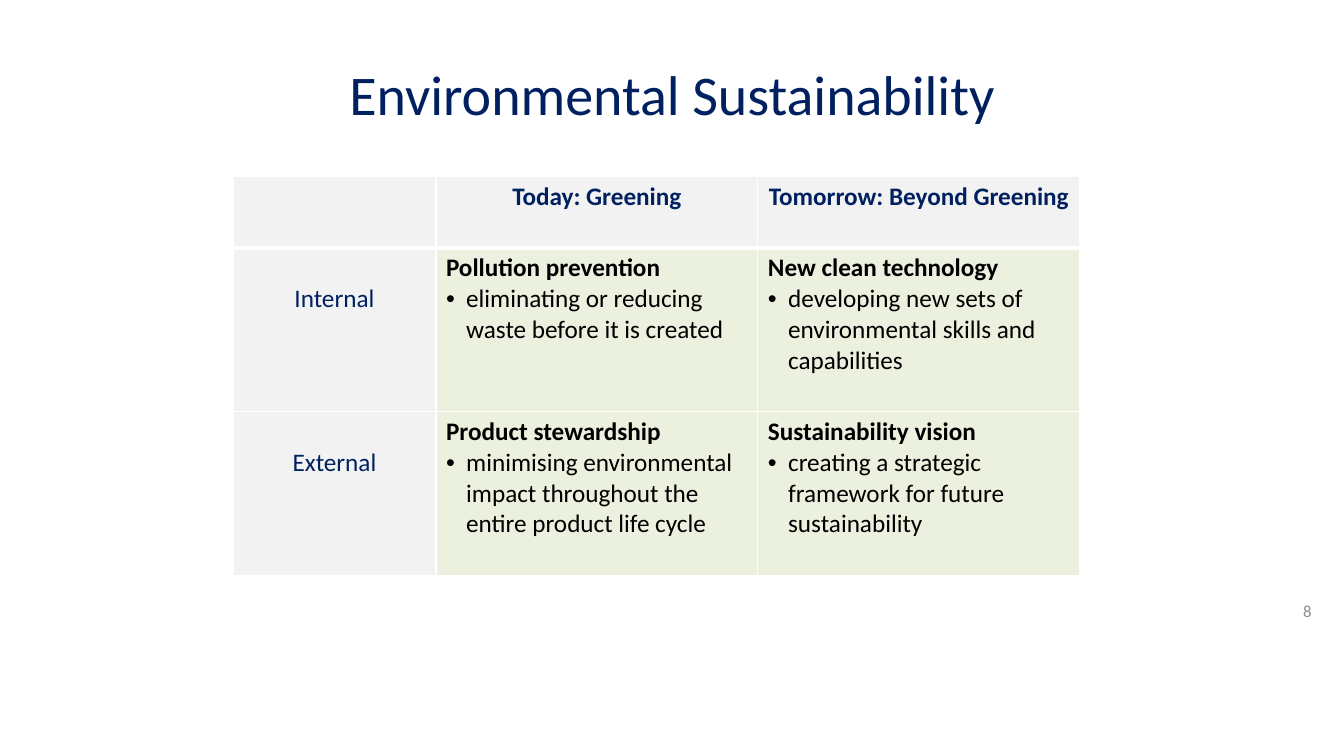
"""Build the Environmental Sustainability slide with its two-by-two strategy table."""
from dataclasses import dataclass

import pptx
import pptx.dml.color
import pptx.enum.text
import pptx.oxml
import pptx.oxml.ns
import pptx.slide
import pptx.table
import pptx.text.text
import pptx.util

Pt = pptx.util.Pt
RGBColor = pptx.dml.color.RGBColor
Align = pptx.enum.text.PP_ALIGN
Anchor = pptx.enum.text.MSO_ANCHOR

NAVY = RGBColor(0x00, 0x20, 0x60)
BLACK = RGBColor(0x00, 0x00, 0x00)
GRAY = RGBColor(0x8C, 0x8C, 0x8C)
WHITE = RGBColor(0xFF, 0xFF, 0xFF)
HEADING_FILL = RGBColor(0xF2, 0xF2, 0xF2)
STRATEGY_FILL = RGBColor(0xEB, 0xF1, 0xDE)

FONT = "Calibri"
BODY_SIZE = 18
BULLET_INDENT = Pt(14.4)
LABEL_TOP_MARGIN = Pt(25.6)
COLUMN_WIDTHS = (145, 230, 230)
ROW_HEIGHTS = (51, 117, 117)


@dataclass(frozen=True)
class Strategy:
    name: str
    description: str


@dataclass(frozen=True)
class Focus:
    label: str
    strategies: tuple[Strategy, ...]


HEADINGS = ("Today: Greening", "Tomorrow: Beyond Greening")
FOCUSES = (
    Focus("Internal", (
        Strategy("Pollution prevention", "eliminating or reducing waste before it is created"),
        Strategy("New clean technology",
                 "developing new sets of environmental skills and capabilities"),
    )),
    Focus("External", (
        Strategy("Product stewardship",
                 "minimising environmental impact throughout the entire product life cycle"),
        Strategy("Sustainability vision",
                 "creating a strategic framework for future sustainability"),
    )),
)


def write(paragraph: pptx.text.text._Paragraph, text: str, size: float, color: RGBColor,
          alignment: Align, bold: bool = False) -> None:
    paragraph.alignment = alignment
    run = paragraph.add_run()
    run.text = text
    run.font.name = FONT
    run.font.size = Pt(size)
    run.font.bold = bold
    run.font.color.rgb = color


def add_bullet(paragraph: pptx.text.text._Paragraph) -> None:
    properties = paragraph._p.get_or_add_pPr()
    properties.set("marL", str(BULLET_INDENT))
    properties.set("indent", str(-BULLET_INDENT))
    namespace = pptx.oxml.ns.nsdecls("a")
    properties.append(pptx.oxml.parse_xml(f'<a:buFont {namespace} typeface="Arial"/>'))
    properties.append(pptx.oxml.parse_xml(f'<a:buChar {namespace} char="•"/>'))


def format_cell(cell: pptx.table._Cell, row: int, column: int) -> None:
    properties = cell._tc.get_or_add_tcPr()
    widths = {"lnL": 1, "lnR": 1, "lnT": 3 if row == 1 else 1, "lnB": 3 if row == 0 else 1}
    for side, width in widths.items():
        properties.append(pptx.oxml.parse_xml(
            f'<a:{side} {pptx.oxml.ns.nsdecls("a")} w="{Pt(width)}">'
            f'<a:solidFill><a:srgbClr val="{WHITE}"/></a:solidFill></a:{side}>'))
    cell.fill.solid()
    cell.fill.fore_color.rgb = STRATEGY_FILL if row and column else HEADING_FILL


def write_strategy(cell: pptx.table._Cell, strategy: Strategy) -> None:
    frame = cell.text_frame
    write(frame.paragraphs[0], strategy.name, BODY_SIZE, BLACK, Align.LEFT, bold=True)
    description = frame.add_paragraph()
    add_bullet(description)
    write(description, strategy.description, BODY_SIZE, BLACK, Align.LEFT)


def add_title(slide: pptx.slide.Slide) -> None:
    title = slide.shapes.title
    title.left, title.top, title.width, title.height = Pt(48), Pt(21.6), Pt(864), Pt(90)
    title.text_frame.vertical_anchor = Anchor.MIDDLE
    write(title.text_frame.paragraphs[0], "Environmental Sustainability", 40, NAVY, Align.CENTER)


def add_strategy_table(slide: pptx.slide.Slide) -> None:
    table = slide.shapes.add_table(
        len(ROW_HEIGHTS), len(COLUMN_WIDTHS), Pt(166.4), Pt(126),
        Pt(sum(COLUMN_WIDTHS)), Pt(sum(ROW_HEIGHTS))).table
    table.horz_banding = False
    for column, width in zip(table.columns, COLUMN_WIDTHS):
        column.width = Pt(width)
    for row, height in zip(table.rows, ROW_HEIGHTS):
        row.height = Pt(height)
    for row in range(len(ROW_HEIGHTS)):
        for column in range(len(COLUMN_WIDTHS)):
            format_cell(table.cell(row, column), row, column)
    for column, heading in enumerate(HEADINGS, start=1):
        write(table.cell(0, column).text_frame.paragraphs[0], heading, BODY_SIZE, NAVY,
              Align.CENTER, bold=True)
    for row, focus in enumerate(FOCUSES, start=1):
        label = table.cell(row, 0)
        label.margin_top = LABEL_TOP_MARGIN
        write(label.text_frame.paragraphs[0], focus.label, BODY_SIZE, NAVY, Align.CENTER)
        for column, strategy in enumerate(focus.strategies, start=1):
            write_strategy(table.cell(row, column), strategy)


def add_page_number(slide: pptx.slide.Slide) -> None:
    frame = slide.shapes.add_textbox(Pt(720), Pt(422), Pt(224), Pt(28.8)).text_frame
    frame.word_wrap = True
    frame.vertical_anchor = Anchor.MIDDLE
    write(frame.paragraphs[0], "8", 12, GRAY, Align.RIGHT)


def main() -> None:
    presentation = pptx.Presentation()
    presentation.slide_width, presentation.slide_height = Pt(960), Pt(540)
    slide = presentation.slides.add_slide(presentation.slide_layouts.get_by_name("Title Only"))
    add_title(slide)
    add_strategy_table(slide)
    add_page_number(slide)
    presentation.save("out.pptx")


if __name__ == "__main__":
    main()
